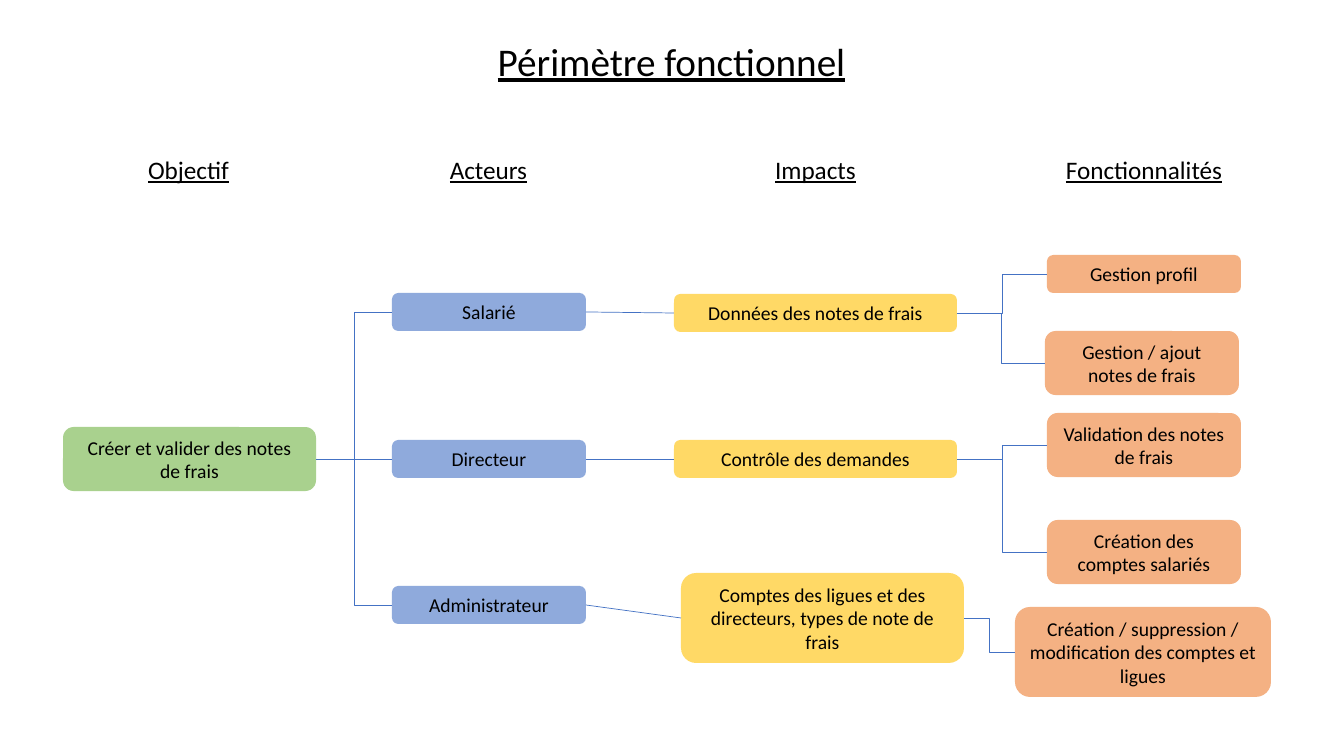
"""Build the functional scope slide: goal, actors, impacts and features."""
from lxml import etree
from pptx import Presentation
from pptx.dml.color import RGBColor
from pptx.enum.shapes import MSO_CONNECTOR, MSO_SHAPE
from pptx.enum.text import MSO_ANCHOR, MSO_AUTO_SIZE, PP_ALIGN
from pptx.oxml.ns import qn
from pptx.util import Pt

ROUND = MSO_SHAPE.ROUNDED_RECTANGLE
LINE, BENT = MSO_CONNECTOR.STRAIGHT, MSO_CONNECTOR.ELBOW
MIDDLE, CENTER = MSO_ANCHOR.MIDDLE, PP_ALIGN.CENTER
TOP, GROW = MSO_ANCHOR.TOP, MSO_AUTO_SIZE.SHAPE_TO_FIT_TEXT
LEFT, RIGHT = 1, 3
PX = 914400 / 100.8
GREEN, BLUE, GOLD, PEACH = "A9D18E", "8FAADC", "FFD966", "F4B183"


def color(code):
    """Turn a hex string into a colour."""
    return RGBColor.from_string(code)


def write(shape, text, size, under, anchor):
    """Put one centred line of text into a shape."""
    frame = shape.text_frame
    look = {"word_wrap": True, "auto_size": GROW, "vertical_anchor": anchor}
    for key, value in look.items():
        setattr(frame, key, value)
    para = frame.paragraphs[0]
    para.alignment = CENTER
    run = para.add_run()
    run.text = text
    style = {"name": "Calibri", "size": Pt(size), "underline": under}
    for key, value in style.items():
        setattr(run.font, key, value)
    run.font.color.rgb = color("000000")


deck = Presentation()
deck.slide_width, deck.slide_height = round(1344 * PX), round(756 * PX)
shapes = deck.slides.add_slide(deck.slide_layouts[6]).shapes

heads = [
    ("Périmètre fonctionnel", 476, 32, 391, 57, 28),
    ("Objectif", 131, 149, 115, 40, 18),
    ("Acteurs", 431, 149, 115, 40, 18),
    ("Impacts", 758, 149, 115, 40, 18),
    ("Fonctionnalités", 1041, 149, 206, 40, 18),
]
for text, *place, size in heads:
    box = shapes.add_textbox(*[round(n * PX) for n in place])
    write(box, text, size, True, TOP)

cards = {
    "goal": ("Créer et valider des notes de frais", GREEN, 63, 427, 253, 64),
    "staff": ("Salarié", BLUE, 392, 293, 194, 38),
    "chief": ("Directeur", BLUE, 392, 440, 194, 38),
    "admin": ("Administrateur", BLUE, 392, 586, 194, 38),
    "data": ("Données des notes de frais", GOLD, 674, 294, 283, 38),
    "check": ("Contrôle des demandes", GOLD, 674, 440, 283, 38),
    "leagues": ("Comptes des ligues et des directeurs, types de note de frais",
                GOLD, 681, 573, 283, 90),
    "profile": ("Gestion profil", PEACH, 1047, 255, 194, 38),
    "notes": ("Gestion / ajout notes de frais", PEACH, 1045, 331, 194, 64),
    "valid": ("Validation des notes de frais", PEACH, 1047, 413, 194, 64),
    "create": ("Création des comptes salariés", PEACH, 1047, 520, 194, 64),
    "modify": ("Création / suppression / modification des comptes et ligues",
               PEACH, 1015, 607, 256, 90),
}
nodes = {}
for name, (text, fill, *place) in cards.items():
    card = shapes.add_shape(ROUND, *[round(n * PX) for n in place])
    card.shadow.inherit = False
    card.fill.solid()
    card.fill.fore_color.rgb = color(fill)
    card.line.fill.background()
    write(card, text, 14, False, MIDDLE)
    nodes[name] = card

links = [
    ("goal", "staff", BENT), ("goal", "chief", LINE), ("goal", "admin", BENT),
    ("staff", "data", LINE), ("chief", "check", LINE),
    ("admin", "leagues", LINE),
    ("data", "profile", BENT), ("data", "notes", BENT),
    ("check", "valid", BENT), ("check", "create", BENT),
    ("leagues", "modify", BENT),
]
for start, end, kind in links:
    link = shapes.add_connector(kind, 0, 0, 0, 0)
    link.begin_connect(nodes[start], RIGHT)
    link.end_connect(nodes[end], LEFT)
    link.line.color.rgb = color("4472C4")
    link.line.width = Pt(0.5)
    etree.SubElement(link._element.spPr, qn("a:effectLst"))

deck.save("out.pptx")
